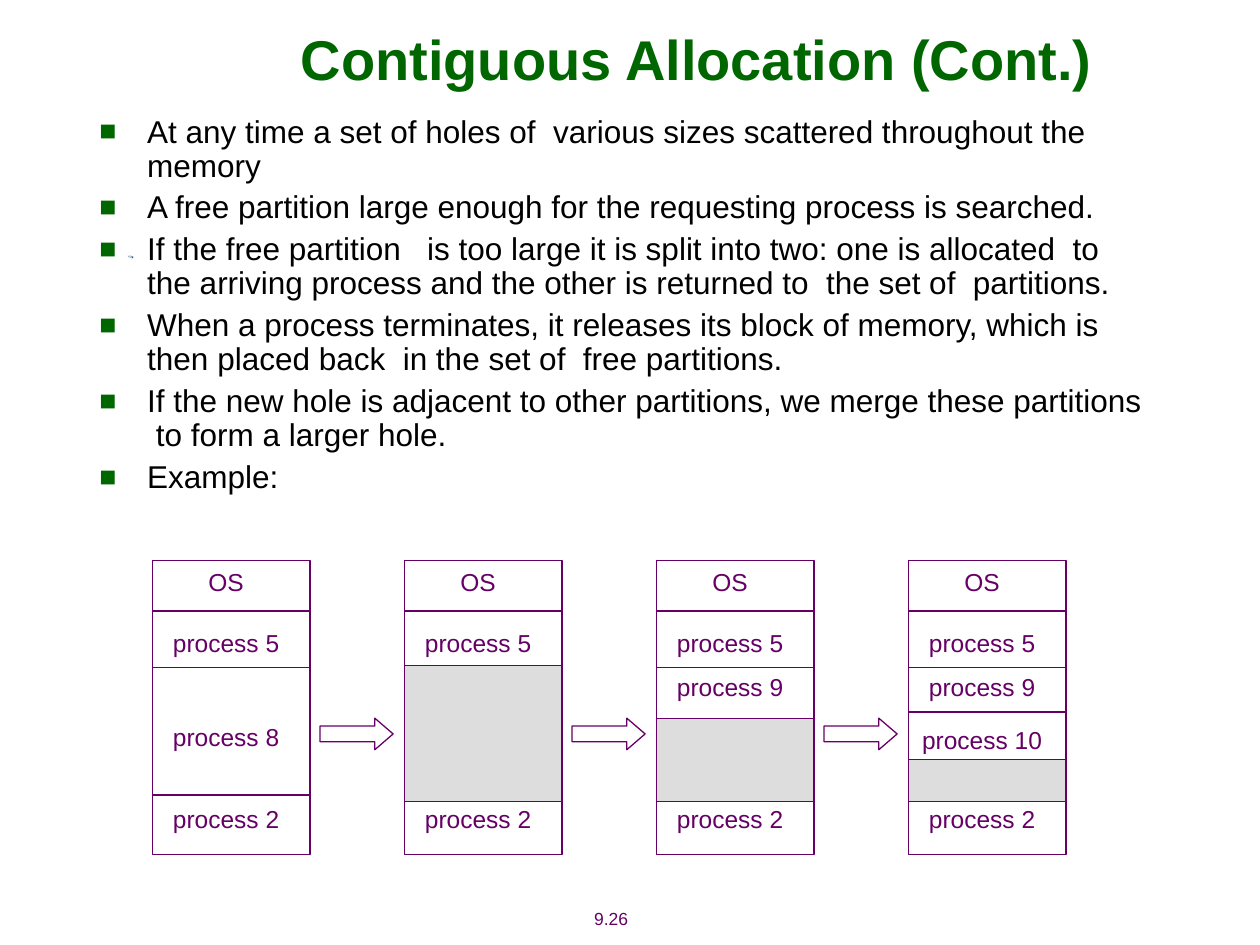
from lxml import etree
from pptx import Presentation
from pptx.dml.color import RGBColor
from pptx.enum.shapes import MSO_CONNECTOR as Connector, MSO_SHAPE as Shape
from pptx.enum.text import MSO_ANCHOR as Anchor, PP_ALIGN as Align
from pptx.oxml.ns import qn
from pptx.util import Inches, Pt

COLORS = {"green": "006600", "purple": "660066", "black": "000000", "white": "FFFFFF",
          "hole": "DDDDDD", "navy": "284C70", "mist": "BFCCD8"}
FONT = "Arial"
BULLETS = [
    "At any time a set of holes of  various sizes scattered throughout the memory",
    "A free partition large enough for the requesting process is searched.",
    "If the free partition   is too large it is split into two: one is allocated  to "
    "the arriving process and the other is returned to  the set of  partitions.",
    "When a process terminates, it releases its block of memory, which is then placed "
    "back  in the set of  free partitions.",
    "If the new hole is adjacent to other partitions, we merge these partitions  "
    "to form a larger hole.",
    "Example:",
]

# Memory columns: geometry in inches
LEFT, TOP, WIDTH, HEIGHT, PITCH = 1.21, 4.45, 1.25, 2.33, 2
LABEL_WIDTH, LABEL_HEIGHT = 1.17, 0.34
HOLE_BOTTOM = 6.36
SHARED_LABELS = {"OS": 4.45, "process 5": 4.93, "process 2": 6.33}
# Each stage: its own labels by top, its dividers, and the top of its hole
STAGES = [
    ({"process 8": 5.68}, [4.85, 5.3, 6.31], None),
    ({}, [4.85], 5.28),
    ({"process 9": 5.28}, [4.85, 5.3], 5.7),
    ({"process 9": 5.28, "process 10": 5.7}, [4.85, 5.3, 5.65], 6.03),
]

# Small specks: colour and outline in hundredths of an inch
SPECKS = [
    ("navy", [(102, 203), (104, 203), (106, 204), (105, 205), (103, 204), (102, 204)]),
    ("mist", [(102, 203), (104, 203), (105, 204), (104, 205), (103, 204), (102, 204)]),
    ("mist", [(163, 201), (164, 199), (166, 199), (167, 201), (166, 202), (164, 202)]),
]


def color(name):
    return RGBColor.from_string(COLORS[name])


def style_paragraph(para, size, ink, bold=False):
    para.font.name = FONT
    para.font.size = Pt(size)
    para.font.bold = bold
    para.font.color.rgb = color(ink)


def add_label(page, text, left, top, width, height, size=14, ink="purple", bold=False):
    """One centred line of text."""
    box = page.shapes.add_textbox(Inches(left), Inches(top), Inches(width), Inches(height))
    frame = box.text_frame
    frame.word_wrap = False
    frame.vertical_anchor = Anchor.MIDDLE
    para = frame.paragraphs[0]
    para.text = text
    para.alignment = Align.CENTER
    style_paragraph(para, size, ink, bold)


def add_block(page, kind, left, top, width, height, fill="white"):
    block = page.shapes.add_shape(kind, Inches(left), Inches(top), Inches(width), Inches(height))
    block.shadow.inherit = False
    block.fill.solid()
    block.fill.fore_color.rgb = color(fill)
    block.line.color.rgb = color("purple")
    block.line.width = Pt(0.75)
    return block


def add_divider(page, left, top):
    line = page.shapes.add_connector(Connector.STRAIGHT, Inches(left), Inches(top),
                                     Inches(left + WIDTH), Inches(top))
    line.line.color.rgb = color("purple")
    line.line.width = Pt(0.75)
    etree.SubElement(line._element.spPr, qn("a:effectLst"))


def add_speck(page, fill, points):
    builder = page.shapes.build_freeform(*points[0], scale=Inches(0.01))
    builder.add_line_segments(points[1:], close=True)
    speck = builder.convert_to_shape()
    speck.shadow.inherit = False
    speck.fill.solid()
    speck.fill.fore_color.rgb = color(fill)
    speck.line.fill.background()


def add_square_bullet(para):
    props = para._p.get_or_add_pPr()
    props.set("marL", str(Inches(0.38)))
    props.set("indent", str(Inches(-0.38)))
    tint = etree.SubElement(props, qn("a:buClr"))
    etree.SubElement(tint, qn("a:srgbClr"), val=COLORS["green"])
    etree.SubElement(props, qn("a:buSzPct"), val="90000")
    etree.SubElement(props, qn("a:buFont"), typeface=FONT)
    etree.SubElement(props, qn("a:buChar"), char="■")


def add_bullets(page):
    box = page.shapes.add_textbox(Inches(0.69), Inches(0.87), Inches(8.48), Inches(3.17))
    frame = box.text_frame
    frame.word_wrap = True
    for index, text in enumerate(BULLETS):
        para = frame.add_paragraph() if index else frame.paragraphs[0]
        para.text = text
        add_square_bullet(para)
        para.line_spacing = 0.9
        para.space_before = Pt(4.5 if index else 0)
        style_paragraph(para, 18, "black")


def add_stage(page, left, labels, dividers, hole_top):
    add_block(page, Shape.RECTANGLE, left, TOP, WIDTH, HEIGHT)
    for top in dividers:
        add_divider(page, left, top)
    if hole_top is not None:
        add_block(page, Shape.RECTANGLE, left, hole_top, WIDTH, HOLE_BOTTOM - hole_top, "hole")
    for text, top in {**SHARED_LABELS, **labels}.items():
        add_label(page, text, left, top, LABEL_WIDTH, LABEL_HEIGHT)


def add_arrow(page, left):
    arrow = add_block(page, Shape.RIGHT_ARROW, left, 5.7, 0.58, 0.25)
    arrow.adjustments[0] = 0.5
    arrow.adjustments[1] = 0.58


def main():
    deck = Presentation()
    deck.slide_width, deck.slide_height = Inches(10), Inches(7.5)
    page = deck.slides.add_slide(deck.slide_layouts[6])

    # Page number and decoration
    add_label(page, "9.26", 4.38, 7.14, 0.94, 0.3, size=10)
    for fill, points in SPECKS:
        add_speck(page, fill, points)

    # Title and bullets
    add_label(page, "Contiguous Allocation (Cont.)", 1.28, 0, 8.5, 0.92, 32, "green", True)
    add_bullets(page)

    # Memory over time, with an arrow between stages
    for index, stage in enumerate(STAGES):
        left = LEFT + index * PITCH
        add_stage(page, left, *stage)
        if index < len(STAGES) - 1:
            add_arrow(page, left + 1.33)

    deck.save("out.pptx")


if __name__ == "__main__":
    main()
